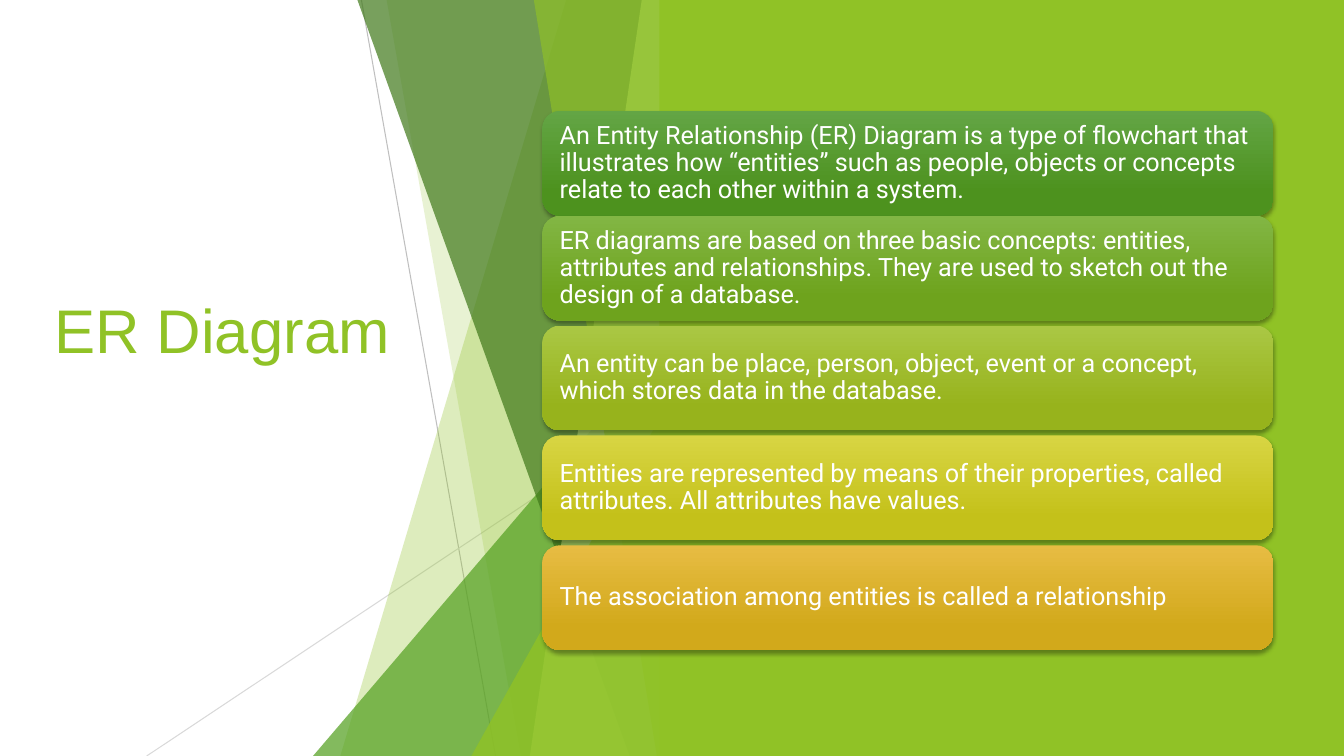
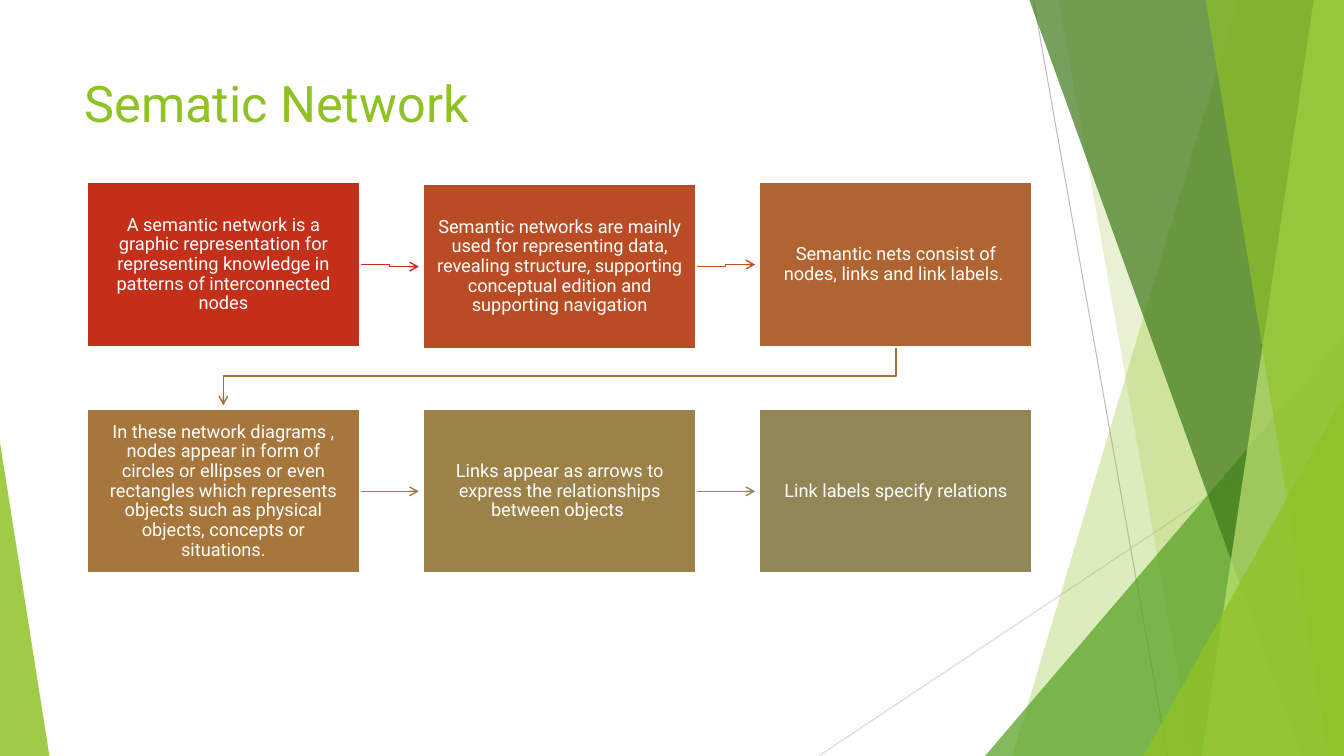
from lxml import etree
from pptx import Presentation
from pptx import util as u
from pptx.dml.color import RGBColor
from pptx.enum import shapes, text
from pptx.oxml.ns import qn

WIDTH, HEIGHT = 13.33, 7.5

LIME = RGBColor(0x90, 0xC2, 0x26)
PALE_LIME = RGBColor(0xC0, 0xE4, 0x74)
GREEN = RGBColor(0x54, 0xA0, 0x21)
DARK_GREEN = RGBColor(0x3F, 0x78, 0x19)
GREY = RGBColor(0xBF, 0xBF, 0xBF)
LIGHT_GREY = RGBColor(0xD9, 0xD9, 0xD9)
WHITE = RGBColor(0xFF, 0xFF, 0xFF)
BLACK = RGBColor(0, 0, 0)

# Bands: distance of the top and bottom corner from the right edge, colour, opacity %.
# Wedges: width, height, colour, opacity %.
FACETS = [
    ("band", 1.05, 3.29, LIME, 30),
    ("band", 2.83, 1.5, LIME, 20),
    ("wedge", 3.56, 4.17, GREEN, 72),
    ("band", 3.12, 0.42, DARK_GREEN, 70),
    ("band", 0.3, 1.41, PALE_LIME, 70),
    ("band", 1.37, 0.15, LIME, 65),
    ("wedge", 1.99, 3.57, LIME, 80),
]

CONCEPTS = [
    ("An Entity Relationship (ER) Diagram is a type of flowchart that illustrates how "
     "“entities” such as people, objects or concepts relate to each other within a system.",
     RGBColor(0x63, 0xA5, 0x45), RGBColor(0x4D, 0x92, 0x1E)),
    ("ER diagrams are based on three basic concepts: entities, attributes and "
     "relationships. They are used to sketch out the design of a database.",
     RGBColor(0x82, 0xB6, 0x44), RGBColor(0x6E, 0xA3, 0x1D)),
    ("An entity can be place, person, object, event or a concept, which stores data "
     "in the database.",
     RGBColor(0xAA, 0xC7, 0x44), RGBColor(0x97, 0xB3, 0x1C)),
    ("Entities are represented by means of their properties, called attributes. "
     "All attributes have values.",
     RGBColor(0xD8, 0xD5, 0x43), RGBColor(0xC4, 0xC1, 0x1A)),
    ("The association among entities is called a relationship",
     RGBColor(0xE7, 0xBC, 0x43), RGBColor(0xD2, 0xA9, 0x1B)),
]

# Text, box colour, colour of the arrow to the next step.
STEPS = [
    ("A semantic network is a graphic representation for representing knowledge in "
     "patterns of interconnected nodes",
     RGBColor(0xC4, 0x2F, 0x1A), RGBColor(0xC4, 0x2F, 0x1A)),
    ("Semantic networks are mainly used for representing data, revealing structure, "
     "supporting conceptual edition and supporting navigation",
     RGBColor(0xBA, 0x4C, 0x25), RGBColor(0xB8, 0x53, 0x28)),
    ("Semantic nets consist of nodes, links and link labels. ",
     RGBColor(0xB0, 0x64, 0x31), RGBColor(0xAB, 0x6E, 0x37)),
    ("In these network diagrams , nodes appear in form of circles or ellipses or even "
     "rectangles which represents objects such as physical objects, concepts or situations.",
     RGBColor(0xA6, 0x76, 0x3D), RGBColor(0x9E, 0x7F, 0x46)),
    ("Links appear as arrows to express the relationships between objects ",
     RGBColor(0x9C, 0x81, 0x49), RGBColor(0x91, 0x86, 0x55)),
    ("Link labels specify relations", RGBColor(0x91, 0x86, 0x55), None),
]


def inches(*lengths):
    return [u.Inches(length) for length in lengths]


def paint(shape, colour, opacity=100):
    shape.shadow.inherit = False
    shape.line.fill.background()
    shape.fill.solid()
    shape.fill.fore_color.rgb = colour
    if opacity < 100:
        rgb = shape.element.spPr.find(qn("a:solidFill"))[0]
        etree.SubElement(rgb, qn("a:alpha"), val=str(opacity * 1000))


def add_preset(slide, kind, box, colour, opacity=100):
    shape = slide.shapes.add_shape(kind, *inches(*box))
    paint(shape, colour, opacity)
    return shape


def add_wedge(slide, box, apex, colour, opacity):
    """Triangle whose apex lies at a share (0 to 1) of its width."""
    wedge = add_preset(slide, shapes.MSO_SHAPE.ISOSCELES_TRIANGLE, box, colour, opacity)
    wedge.adjustments[0] = apex


def add_line(slide, kind, start, end, colour, weight):
    line = slide.shapes.add_connector(kind, *inches(*start, *end))
    line.line.color.rgb = colour
    line.line.width = u.Pt(weight)
    etree.SubElement(line.element.spPr, qn("a:effectLst"))
    return line


def add_arrow(slide, kind, start, end, colour):
    arrow = add_line(slide, kind, start, end, colour, 1)
    etree.SubElement(arrow.element.spPr.find(qn("a:ln")), qn("a:tailEnd"), type="arrow")
    return arrow


def write(shape, words, size, colour=WHITE, font="Roboto", margin=0.1,
          align=text.PP_ALIGN.LEFT, anchor=text.MSO_ANCHOR.MIDDLE, spacing=0.9):
    frame = shape.text_frame
    frame.word_wrap = True
    frame.vertical_anchor = anchor
    frame.margin_left = frame.margin_right = u.Inches(margin)
    frame.margin_top = frame.margin_bottom = u.Inches(0.05)
    paragraph = frame.paragraphs[0]
    paragraph.text = words
    paragraph.alignment = align
    paragraph.line_spacing = spacing
    paragraph.font.size = u.Pt(size)
    paragraph.font.name = font
    paragraph.font.color.rgb = colour


def add_title(slide, words, box, size, font, anchor):
    title = slide.shapes.add_textbox(*inches(*box))
    write(title, words, size, LIME, font, anchor=anchor, spacing=1.0)


def add_facets(slide, right):
    """Fan of translucent facets that ends at the given right edge."""
    straight = shapes.MSO_CONNECTOR.STRAIGHT
    add_line(slide, straight, (right - 3.08, 0), (right - 1.75, HEIGHT), GREY, 0.75)
    add_line(slide, straight, (right, 4.03), (right - 5.21, HEIGHT), LIGHT_GREY, 0.75)
    for kind, first, second, colour, opacity in FACETS:
        if kind == "wedge":
            box = (right - first, HEIGHT - second, first, second)
            add_wedge(slide, box, 1, colour, opacity)
            continue
        outline = slide.shapes.build_freeform(*inches(right - first, 0))
        corners = [(right, 0), (right, HEIGHT), (right - second, HEIGHT)]
        outline.add_line_segments([inches(*corner) for corner in corners])
        paint(outline.convert_to_shape(), colour, opacity)


def add_soft_shadow(shape):
    effects = shape.element.spPr.find(qn("a:effectLst"))
    shadow = etree.SubElement(effects, qn("a:outerShdw"), blurRad=str(u.Pt(3)),
                              dist=str(u.Pt(2)), dir="5400000", rotWithShape="0")
    rgb = etree.SubElement(shadow, qn("a:srgbClr"), val=str(BLACK))
    etree.SubElement(rgb, qn("a:alpha"), val="35000")


def add_concept_cards(slide, left, top, width):
    """Stack of cards; the first one touches the second."""
    height, gap = 1.04, 0.05
    for i, (words, light, dark) in enumerate(CONCEPTS):
        card_top = top + i * height + max(i - 1, 0) * gap
        card = add_preset(slide, shapes.MSO_SHAPE.ROUNDED_RECTANGLE,
                          (left, card_top, width, height), dark)
        card.fill.gradient()
        card.fill.gradient_angle = 270
        for stop, colour, position in zip(card.fill.gradient_stops, (light, dark), (0, 0.78)):
            stop.color.rgb = colour
            stop.position = position
        add_soft_shadow(card)
        write(card, words, 18, margin=0.12)


def add_step_flow(slide, left, top, columns=3):
    """Steps in reading order, each joined to the next by an arrow."""
    width, height, column, row, clearance = 2.71, 1.63, 3.335, 2.25, 0.04
    elbow = shapes.MSO_CONNECTOR.ELBOW
    places = [(left + i % columns * column, top + i // columns * row)
              for i in range(len(STEPS))]
    places[1] = (places[1][0], top + 0.02)

    for (x, y), (next_x, next_y), (_, _, colour) in zip(places, places[1:], STEPS):
        if next_x > x:
            kind = shapes.MSO_CONNECTOR.STRAIGHT if y == next_y else elbow
            add_arrow(slide, kind, (x + width, y + height / 2),
                      (next_x - clearance, next_y + height / 2), colour)
        else:
            # A quarter turn makes the elbow leave downwards.
            run, drop = x - next_x, next_y - clearance - y - height
            middle_x, middle_y = (x + next_x + width) / 2, y + height + drop / 2
            arrow = add_arrow(slide, elbow, (middle_x - drop / 2, middle_y - run / 2),
                              (middle_x + drop / 2, middle_y + run / 2), colour)
            arrow.element.spPr.find(qn("a:xfrm")).set("rot", "5400000")

    for (x, y), (words, colour, _) in zip(places, STEPS):
        step = add_preset(slide, shapes.MSO_SHAPE.RECTANGLE, (x, y, width, height), colour)
        step.line.color.rgb = WHITE
        step.line.width = u.Pt(1.5)
        write(step, words, 13, margin=0.13, align=text.PP_ALIGN.CENTER)


def build_er_diagram(slide):
    add_title(slide, "ER Diagram", (0.44, 1.11, 3.9, 4.31), 44, "Arial",
              text.MSO_ANCHOR.MIDDLE)
    add_facets(slide, WIDTH / 2)
    panel_left = 6.54
    add_preset(slide, shapes.MSO_SHAPE.RECTANGLE,
               (panel_left, 0, WIDTH - panel_left, HEIGHT), LIME)
    add_concept_cards(slide, 5.38, 1.1, 7.25)


def build_semantic_network(slide):
    add_facets(slide, WIDTH)
    add_wedge(slide, (0, 4.39, 0.49, HEIGHT - 4.39), 0, LIME, 85)
    add_title(slide, "Sematic Network", (0.74, 0.67, 9.4, 1.44), 36, "Roboto",
              text.MSO_ANCHOR.TOP)
    add_step_flow(slide, 0.86, 1.81)


def main():
    deck = Presentation()
    deck.slide_width, deck.slide_height = inches(WIDTH, HEIGHT)
    blank = deck.slide_layouts[6]
    for build in (build_er_diagram, build_semantic_network):
        build(deck.slides.add_slide(blank))
    deck.save("out.pptx")


if __name__ == "__main__":
    main()
